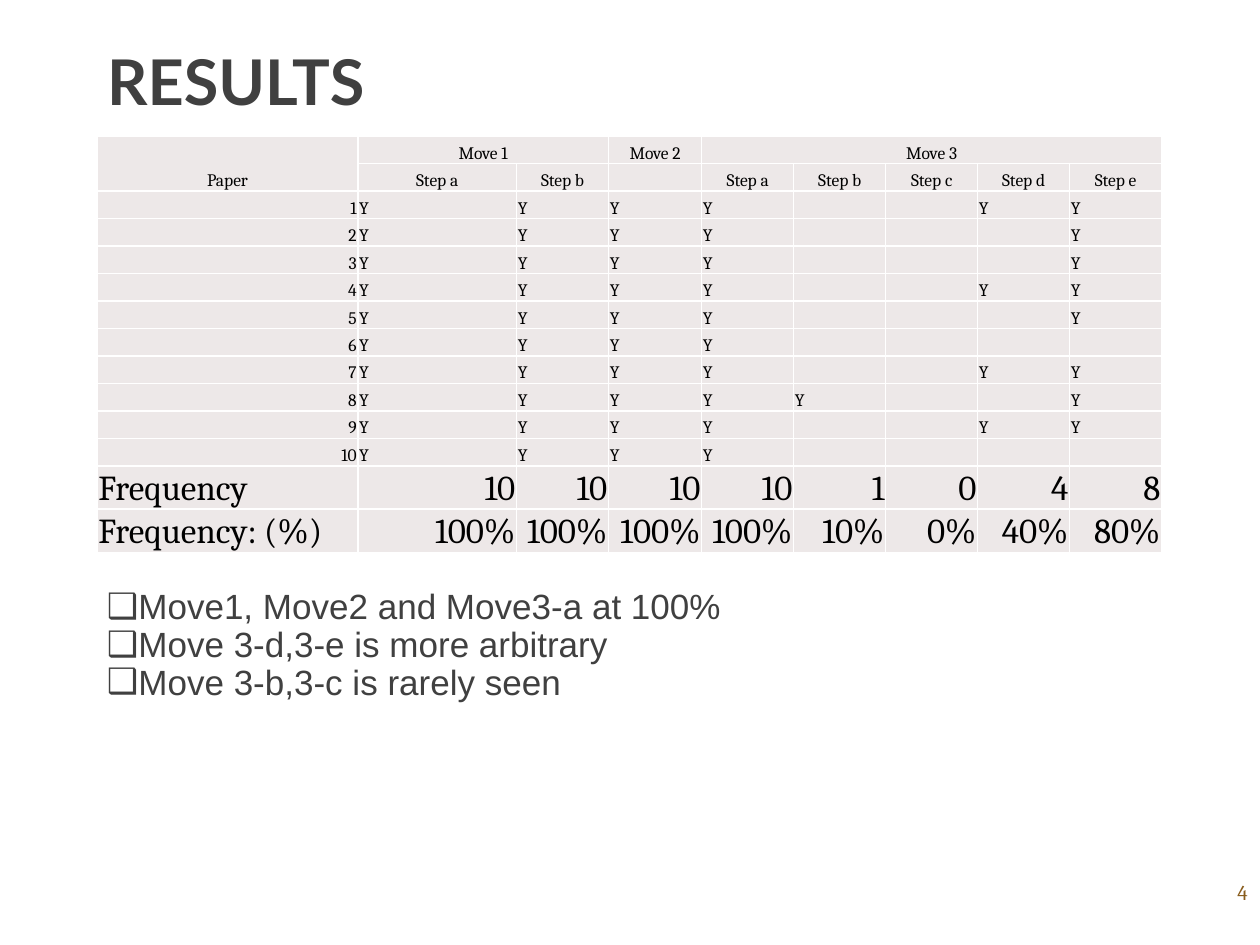
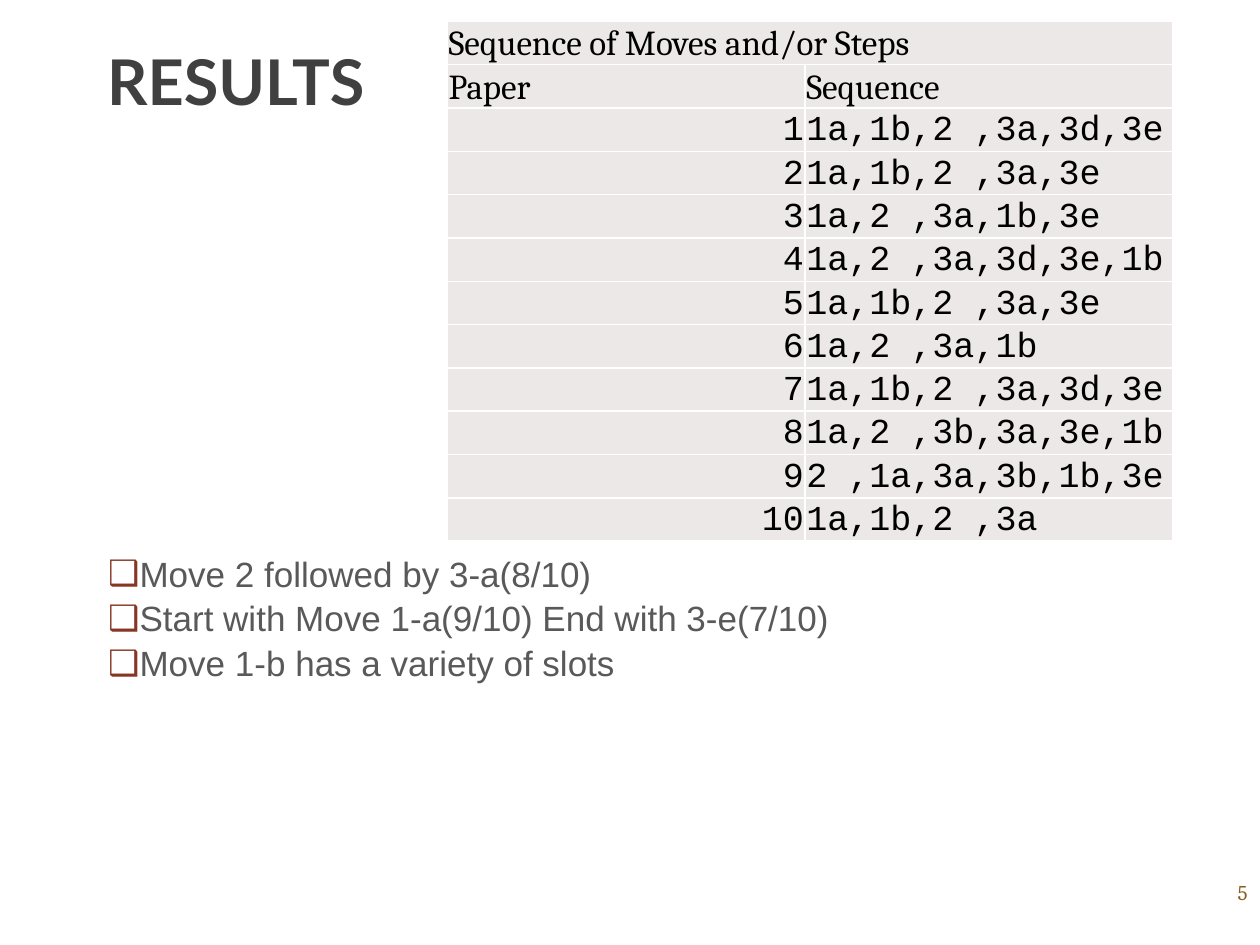
import dataclasses
import typing

import lxml.etree
import pptx
import pptx.dml.color
import pptx.enum.text
import pptx.oxml.ns
import pptx.presentation
import pptx.shapes.autoshape
import pptx.slide
import pptx.table
import pptx.text.text
import pptx.util

Inches = pptx.util.Inches
Pt = pptx.util.Pt
RGBColor = pptx.dml.color.RGBColor
Align = pptx.enum.text.PP_ALIGN
Anchor = pptx.enum.text.MSO_ANCHOR
qn = pptx.oxml.ns.qn

BLACK = RGBColor(0x00, 0x00, 0x00)
WHITE = RGBColor(0xFF, 0xFF, 0xFF)
DARK_GRAY = RGBColor(0x40, 0x40, 0x40)
MID_GRAY = RGBColor(0x59, 0x59, 0x59)
BROWN = RGBColor(0x89, 0x5D, 0x1D)
RUST = RGBColor(0x87, 0x36, 0x24)
CELL_FILL = RGBColor(0xED, 0xE8, 0xE8)

STEP_MARKS = [
    "YYYY  YY",
    "YYYY   Y",
    "YYYY   Y",
    "YYYY  YY",
    "YYYY   Y",
    "YYYY    ",
    "YYYY  YY",
    "YYYYY  Y",
    "YYYY  YY",
    "YYYY    ",
]
SEQUENCES = [
    "1a,1b,2 ,3a,3d,3e",
    "1a,1b,2 ,3a,3e",
    "1a,2 ,3a,1b,3e",
    "1a,2 ,3a,3d,3e,1b",
    "1a,1b,2 ,3a,3e",
    "1a,2 ,3a,1b",
    "1a,1b,2 ,3a,3d,3e",
    "1a,2 ,3b,3a,3e,1b",
    "2 ,1a,3a,3b,1b,3e",
    "1a,1b,2 ,3a",
]


@dataclasses.dataclass(frozen=True)
class TextStyle:
    font: str
    size: int
    color: RGBColor
    bold: bool = False


@dataclasses.dataclass(frozen=True)
class Box:
    left: float
    top: float
    width: float
    height: float

    def lengths(self) -> tuple[pptx.util.Length, ...]:
        return tuple(Inches(value) for value in dataclasses.astuple(self))


@dataclasses.dataclass(frozen=True)
class TableRow:
    texts: list[str]
    style: TextStyle
    first_align: Align
    other_align: Align


@dataclasses.dataclass(frozen=True)
class BulletList:
    box: Box
    lines: list[str]
    style: TextStyle
    bullet_color: RGBColor
    space_before: int = 0


TITLE_STYLE = TextStyle("Lato", 36, DARK_GRAY, bold=True)
NUMBER_STYLE = TextStyle("Cambria", 12, BROWN)
SMALL_STYLE = TextStyle("Cambria", 10, BLACK)
LARGE_STYLE = TextStyle("Cambria", 20, BLACK)
CODE_STYLE = TextStyle("Courier New", 20, BLACK)
TITLE_BOX = Box(0.75, 0.29, 8.48, 1.15)
NUMBER_BOX = Box(7.67, 6.83, 2.33, 0.5)


def format_paragraph(
    paragraph: pptx.text.text._Paragraph, style: TextStyle, align: Align
) -> None:
    paragraph.alignment = align
    for run in paragraph.runs:
        run.font.name = style.font
        run.font.size = Pt(style.size)
        run.font.bold = style.bold
        run.font.color.rgb = style.color
    if not paragraph.runs:
        paragraph._p.get_or_add_endParaRPr().set("sz", str(style.size * 100))


def add_text_box(slide: pptx.slide.Slide, box: Box) -> pptx.shapes.autoshape.Shape:
    shape = slide.shapes.add_textbox(*box.lengths())
    shape.text_frame.word_wrap = True
    return shape


def add_results_slide(
    presentation: pptx.presentation.Presentation, number: int
) -> pptx.slide.Slide:
    slide = presentation.slides.add_slide(presentation.slide_layouts[5])
    slide.background.fill.solid()
    slide.background.fill.fore_color.rgb = WHITE

    title = slide.shapes.title
    title.left, title.top, title.width, title.height = TITLE_BOX.lengths()
    title.text_frame.text = "RESULTS"
    title.text_frame.auto_size = pptx.enum.text.MSO_AUTO_SIZE.NONE
    title.text_frame.vertical_anchor = Anchor.TOP
    format_paragraph(title.text_frame.paragraphs[0], TITLE_STYLE, Align.LEFT)

    frame = add_text_box(slide, NUMBER_BOX).text_frame
    frame.text = str(number)
    frame.vertical_anchor = Anchor.MIDDLE
    format_paragraph(frame.paragraphs[0], NUMBER_STYLE, Align.RIGHT)
    return slide


def format_cell(cell: pptx.table._Cell) -> None:
    cell.vertical_anchor = Anchor.BOTTOM
    cell.margin_left = cell.margin_top = cell.margin_right = Inches(0.01)
    cell.margin_bottom = 0
    properties = cell._tc.get_or_add_tcPr()
    for side in ("a:lnL", "a:lnR", "a:lnT", "a:lnB"):
        line = lxml.etree.SubElement(properties, qn(side), w=str(Pt(1)))
        fill = lxml.etree.SubElement(line, qn("a:solidFill"))
        lxml.etree.SubElement(fill, qn("a:srgbClr"), val=str(WHITE))
    cell.fill.solid()
    cell.fill.fore_color.rgb = CELL_FILL


def add_results_table(
    slide: pptx.slide.Slide,
    box: Box,
    column_widths: list[float],
    row_heights: list[float],
    rows: list[TableRow],
) -> pptx.table.Table:
    table = slide.shapes.add_table(len(rows), len(column_widths), *box.lengths()).table
    table.first_row = False
    table.horz_banding = False
    for column, width in zip(table.columns, column_widths):
        column.width = Inches(width)
    for table_row, height, row in zip(table.rows, row_heights, rows):
        table_row.height = Inches(height)
        for index, (cell, text) in enumerate(zip(table_row.cells, row.texts)):
            cell.text_frame.text = text
            align = row.other_align if index else row.first_align
            format_paragraph(cell.text_frame.paragraphs[0], row.style, align)
            format_cell(cell)
    return table


def add_bullets(slide: pptx.slide.Slide, bullets: BulletList) -> None:
    frame = add_text_box(slide, bullets.box).text_frame
    frame.text = "\n".join(bullets.lines)
    for paragraph in frame.paragraphs:
        format_paragraph(paragraph, bullets.style, Align.LEFT)
        paragraph.line_spacing = 0.9
        paragraph.space_before = Pt(bullets.space_before)
        properties = paragraph._p.get_or_add_pPr()
        properties.set("marL", "0")
        properties.set("indent", "0")
        color = lxml.etree.SubElement(properties, qn("a:buClr"))
        lxml.etree.SubElement(color, qn("a:srgbClr"), val=str(bullets.bullet_color))
        lxml.etree.SubElement(properties, qn("a:buFont"), typeface="Arial")
        lxml.etree.SubElement(properties, qn("a:buChar"), char="❑")


def frequency_rows() -> typing.Iterator[TableRow]:
    counts = [column.count("Y") for column in zip(*STEP_MARKS)]
    percents = [f"{count * 100 // len(STEP_MARKS)}%" for count in counts]
    for label, values in (("Frequency", counts), ("Frequency: (%)", percents)):
        texts = [label, *map(str, values)]
        yield TableRow(texts, LARGE_STYLE, Align.LEFT, Align.RIGHT)


def build_frequency_slide(presentation: pptx.presentation.Presentation) -> None:
    slide = add_results_slide(presentation, 4)
    headers = [
        ["Paper", "Move 1", "", "Move 2", "Move 3", "", "", "", ""],
        ["", "Step a", "Step b", "", *(f"Step {letter}" for letter in "abcde")],
    ]
    rows = [TableRow(texts, SMALL_STYLE, Align.CENTER, Align.CENTER) for texts in headers]
    for paper, marks in enumerate(STEP_MARKS, start=1):
        texts = [str(paper), *(mark.strip() for mark in marks)]
        rows.append(TableRow(texts, SMALL_STYLE, Align.RIGHT, Align.LEFT))
    rows.extend(frequency_rows())

    table = add_results_table(
        slide,
        Box(0.77, 1.08, 8.47, 3.27),
        [2.07, 1.26, 0.73, 0.74] + [0.73] * 5,
        [2.62 / 12] * 12 + [0.33] * 2,
        rows,
    )
    table.cell(0, 0).merge(table.cell(1, 0))
    table.cell(0, 1).merge(table.cell(0, 2))
    table.cell(0, 4).merge(table.cell(0, 8))

    lines = [
        "Move1, Move2 and Move3-a at 100%",
        "Move 3-d,3-e is more arbitrary",
        "Move 3-b,3-c is rarely seen",
    ]
    style = TextStyle("Arial", 20, DARK_GRAY)
    add_bullets(slide, BulletList(Box(0.75, 4.63, 8.48, 1.15), lines, style, DARK_GRAY))


def build_sequence_slide(presentation: pptx.presentation.Presentation) -> None:
    slide = add_results_slide(presentation, 5)
    headers = [["Sequence of Moves and/or Steps", ""], ["Paper", "Sequence"]]
    rows = [TableRow(texts, LARGE_STYLE, Align.LEFT, Align.LEFT) for texts in headers]
    for paper, sequence in enumerate(SEQUENCES, start=1):
        rows.append(TableRow([str(paper), sequence], CODE_STYLE, Align.RIGHT, Align.LEFT))

    table = add_results_table(
        slide,
        Box(3.55, 0.17, 5.76, 3.9),
        [2.84, 2.92],
        [3.9 / len(rows)] * len(rows),
        rows,
    )
    table.cell(0, 0).merge(table.cell(0, 1))

    lines = [
        "Move 2 followed by 3-a(8/10)",
        "Start with Move 1-a(9/10) End with 3-e(7/10)",
        "Move 1-b has a variety of slots",
    ]
    style = TextStyle("Arial", 20, MID_GRAY)
    add_bullets(slide, BulletList(Box(0.76, 4.37, 8.47, 1.66), lines, style, RUST, 4))


def main() -> None:
    presentation = pptx.Presentation()
    presentation.slide_width = Inches(10)
    presentation.slide_height = Inches(7.5)
    build_frequency_slide(presentation)
    build_sequence_slide(presentation)
    presentation.save("out.pptx")


if __name__ == "__main__":
    main()
